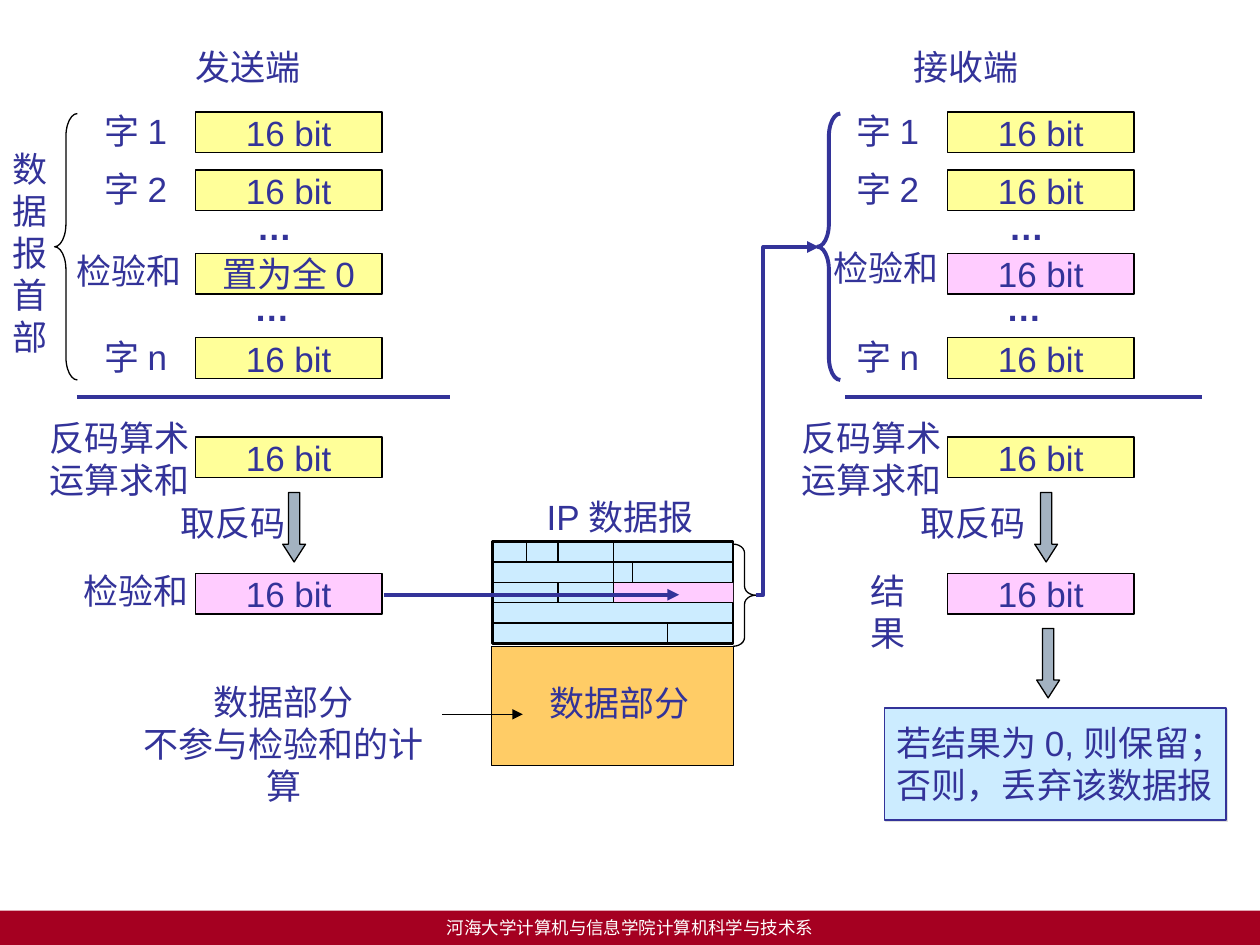
from dataclasses import dataclass

from lxml import etree
from pptx import Presentation
from pptx.dml.color import RGBColor
from pptx.enum.shapes import MSO_CONNECTOR, MSO_SHAPE
from pptx.enum.text import MSO_ANCHOR, PP_ALIGN
from pptx.oxml.ns import qn
from pptx.util import Cm, Pt

RECTANGLE, DOWN_ARROW = MSO_SHAPE.RECTANGLE, MSO_SHAPE.DOWN_ARROW
LEFT_BRACE, RIGHT_BRACE = MSO_SHAPE.LEFT_BRACE, MSO_SHAPE.RIGHT_BRACE
STRAIGHT = MSO_CONNECTOR.STRAIGHT
LEFT, CENTER = PP_ALIGN.LEFT, PP_ALIGN.CENTER
TOP, MIDDLE = MSO_ANCHOR.TOP, MSO_ANCHOR.MIDDLE


@dataclass(frozen=True)
class Theme:
    ink: str = "333399"
    black: str = "000000"
    white: str = "FFFFFF"
    word: str = "FFFF99"
    checksum: str = "FFCCFF"
    header: str = "CCECFF"
    payload: str = "FFCC66"
    arrow: str = "A3B2C1"
    footer: str = "A50021"
    shadow: str = "DDDDDD"
    font: str = "Arial"
    footer_font: str = "Times New Roman"
    body_size: float = 20
    footer_size: float = 10
    thin: float = 0.75
    note_line: float = 1
    frame: float = 1.5
    thick: float = 2.25


@dataclass(frozen=True)
class Box:
    left: float
    top: float
    width: float
    height: float

    def inner(self, left, top, width, height):
        return Box(self.left + left, self.top + top, width, height)

    def lengths(self):
        return [Cm(value) for value in (self.left, self.top, self.width, self.height)]


THEME = Theme()
WORD_WIDTH, WORD_HEIGHT = 3.76, 0.82
LINE_HEIGHT = 1.12


def write(shape, text, size=THEME.body_size, font=THEME.font, color=THEME.ink,
          bold=False, align=LEFT, anchor=TOP):
    frame = shape.text_frame
    frame.word_wrap = False
    frame.vertical_anchor = anchor
    frame.text = text
    for para in frame.paragraphs:
        para.alignment = align
        for span in para.runs:
            span.font.size = Pt(size)
            span.font.name = font
            span.font.bold = bold
            span.font.color.rgb = RGBColor.from_string(color)


def add_label(page, box, text, **style):
    write(page.shapes.add_textbox(*box.lengths()), text, **style)


def set_outline(shape, color, width):
    shape.line.color.rgb = RGBColor.from_string(color)
    shape.line.width = Pt(width)


def add_block(page, kind, box, fill=None, line=THEME.black, width=THEME.thin, adjust=()):
    shape = page.shapes.add_shape(kind, *box.lengths())
    shape.shadow.inherit = False
    if fill:
        shape.fill.solid()
        shape.fill.fore_color.rgb = RGBColor.from_string(fill)
    else:
        shape.fill.background()
    if line:
        set_outline(shape, line, width)
    else:
        shape.line.fill.background()
    for index, value in enumerate(adjust):
        shape.adjustments[index] = value
    return shape


def add_arrowhead(shape):
    outline = shape.element.spPr.find(qn("a:ln"))
    etree.SubElement(outline, qn("a:tailEnd"), type="triangle")


def add_line(page, start, end, color=THEME.black, width=THEME.thin, arrow=False):
    line = page.shapes.add_connector(STRAIGHT, *[Cm(value) for value in (*start, *end)])
    set_outline(line, color, width)
    if arrow:
        add_arrowhead(line)
    etree.SubElement(line.element.spPr, qn("a:effectLst"))


def add_word(page, box, top, text, fill):
    cell = add_block(page, RECTANGLE, box.inner(0, top, WORD_WIDTH, WORD_HEIGHT), fill)
    write(cell, text, align=CENTER, anchor=MIDDLE)


def add_down_arrow(page, box):
    add_block(page, DOWN_ARROW, box, THEME.arrow, adjust=(0.5, 0.78))


def add_side(page, box, heading, heading_left, checksum, checksum_fill, checksum_label,
             result, result_left, result_width, invert_left, rule, brace_left, brace_line):
    add_label(page, box.inner(heading_left, -1.47, 2.62, LINE_HEIGHT), heading)
    for top, name in ((0, "字 1"), (1.17, "字 2"), (4.55, "字 n")):
        add_word(page, box, top, "16 bit", THEME.word)
        add_label(page, box.inner(-2.08, top - 0.18, 2.13, LINE_HEIGHT), name)
    add_word(page, box, 2.85, checksum, checksum_fill)
    add_label(page, box.inner(*checksum_label, 2.62, LINE_HEIGHT), "检验和")
    for left, top in ((0.99, 1.75), (0.94, 3.4)):
        add_label(page, box.inner(left, top, 1.22, LINE_HEIGHT), "…", bold=True)
    add_block(page, LEFT_BRACE, box.inner(brace_left, 0.03, 0.46, 5.37),
              line=brace_line[0], width=brace_line[1], adjust=(1, 0.5))
    rule_top = box.top + 5.74
    add_line(page, (box.left + rule[0], rule_top), (box.left + rule[1], rule_top),
             THEME.ink, THEME.thick)
    add_word(page, box, 6.55, "16 bit", THEME.word)
    add_label(page, box.inner(-3.2, 6.02, 3.33, 1.96), "反码算术\n运算求和")
    add_down_arrow(page, box.inner(1.76, 7.67, 0.46, 1.4))
    add_label(page, box.inner(invert_left, 7.72, 2.62, LINE_HEIGHT), "取反码")
    add_word(page, box, 9.3, "16 bit", THEME.checksum)
    add_label(page, box.inner(result_left, 9.09, result_width, LINE_HEIGHT), result)


def add_datagram(page, box):
    row = 0.41
    header = box.inner(0, 0, box.width, 5 * row)
    add_block(page, RECTANGLE, box.inner(-0.02, 2.11, 4.88, 2.41), THEME.payload)
    add_label(page, box.inner(0.84, -1.06, 3.66, LINE_HEIGHT), "IP 数据报")
    add_block(page, RECTANGLE, header, THEME.header, width=THEME.frame)
    add_block(page, RECTANGLE, box.inner(2.44, 2 * row, box.width - 2.44, row),
              THEME.checksum, line=None)
    for index in range(1, 6):
        top = box.top + index * row
        add_line(page, (box.left, top), (box.left + box.width, top))
    dividers = ((2.44, 0, 3), (1.32, 2, 3), (1.32, 0, 1), (0.69, 0, 1), (2.82, 1, 2), (3.53, 4, 5))
    for left, first, last in dividers:
        add_line(page, (box.left + left, box.top + first * row),
                 (box.left + left, box.top + last * row))
    add_label(page, box.inner(0.89, 2.69, 3.33, LINE_HEIGHT), "数据部分")
    add_block(page, RIGHT_BRACE, box.inner(box.width, 0.05, 0.46, 2.06), adjust=(0.39, 0.5))


def add_flow(page, box):
    bottom = box.top + box.height
    add_line(page, (box.left - 7.49, bottom), (box.left - 1.55, bottom),
             THEME.ink, THEME.thick, arrow=True)
    bend = box.left + 0.15
    points = [(bend, bottom), (bend, box.top), (box.left + box.width, box.top)]
    builder = page.shapes.build_freeform(Cm(box.left), Cm(bottom))
    builder.add_line_segments([(Cm(x), Cm(y)) for x, y in points], close=False)
    route = builder.convert_to_shape()
    route.shadow.inherit = False
    route.fill.background()
    set_outline(route, THEME.ink, THEME.thick)
    add_arrowhead(route)


def add_decision(page, box):
    add_down_arrow(page, box.inner(3.07, -1.6, 0.46, 1.4))
    note = add_block(page, RECTANGLE, box, THEME.header, THEME.ink, THEME.note_line)
    write(note, "若结果为 0, 则保留；\n否则，丢弃该数据报", anchor=MIDDLE)
    effects = note.element.spPr.find(qn("a:effectLst"))
    shadow = etree.SubElement(effects, qn("a:outerShdw"), dist=str(Pt(1.4)), dir="2700000")
    etree.SubElement(shadow, qn("a:srgbClr"), val=THEME.shadow)


def add_payload_note(page, box):
    add_label(page, box, "数据部分\n不参与检验和的计算", align=CENTER)
    middle = box.top + 0.81
    add_line(page, (box.left + 6.63, middle), (box.left + 8.25, middle), arrow=True)


def add_footer(page, box):
    bar = add_block(page, RECTANGLE, box, THEME.footer, line=None)
    write(bar, "河海大学计算机与信息学院计算机科学与技术系", size=THEME.footer_size,
          font=THEME.footer_font, color=THEME.white, align=CENTER, anchor=MIDDLE)


def main():
    deck = Presentation()
    deck.slide_width, deck.slide_height = Cm(25.4), Cm(19.05)
    page = deck.slides.add_slide(deck.slide_layouts[6])
    add_footer(page, Box(0, 18.36, 25.4, 0.69))
    add_side(page, Box(3.94, 2.26, WORD_WIDTH, 10.12), heading="发送端", heading_left=-0.25,
             checksum="置为全 0", checksum_fill=THEME.word, checksum_label=(-2.64, 2.64),
             result="检验和", result_left=-2.51, result_width=2.62, invert_left=-0.56,
             rule=(-2.39, 5.13), brace_left=-2.84, brace_line=(THEME.black, THEME.thin))
    add_label(page, Box(0, 2.84, 1.22, 4.5), "\n".join("数据报首部"))
    add_datagram(page, Box(9.93, 10.92, 4.85, 4.52))
    add_side(page, Box(19.1, 2.26, WORD_WIDTH, 10.12), heading="接收端", heading_left=-0.94,
             checksum="16 bit", checksum_fill=THEME.checksum, checksum_label=(-2.54, 2.59),
             result="结果", result_left=-1.8, result_width=1.9, invert_left=-0.79,
             rule=(-2.06, 5.13), brace_left=-2.62, brace_line=(THEME.ink, THEME.thick))
    add_flow(page, Box(15.24, 4.98, 1.27, 7.01))
    add_decision(page, Box(17.83, 14.27, 6.88, 2.26))
    add_payload_note(page, Box(2.29, 13.59, 6.86, 1.96))
    deck.save("out.pptx")


if __name__ == "__main__":
    main()
